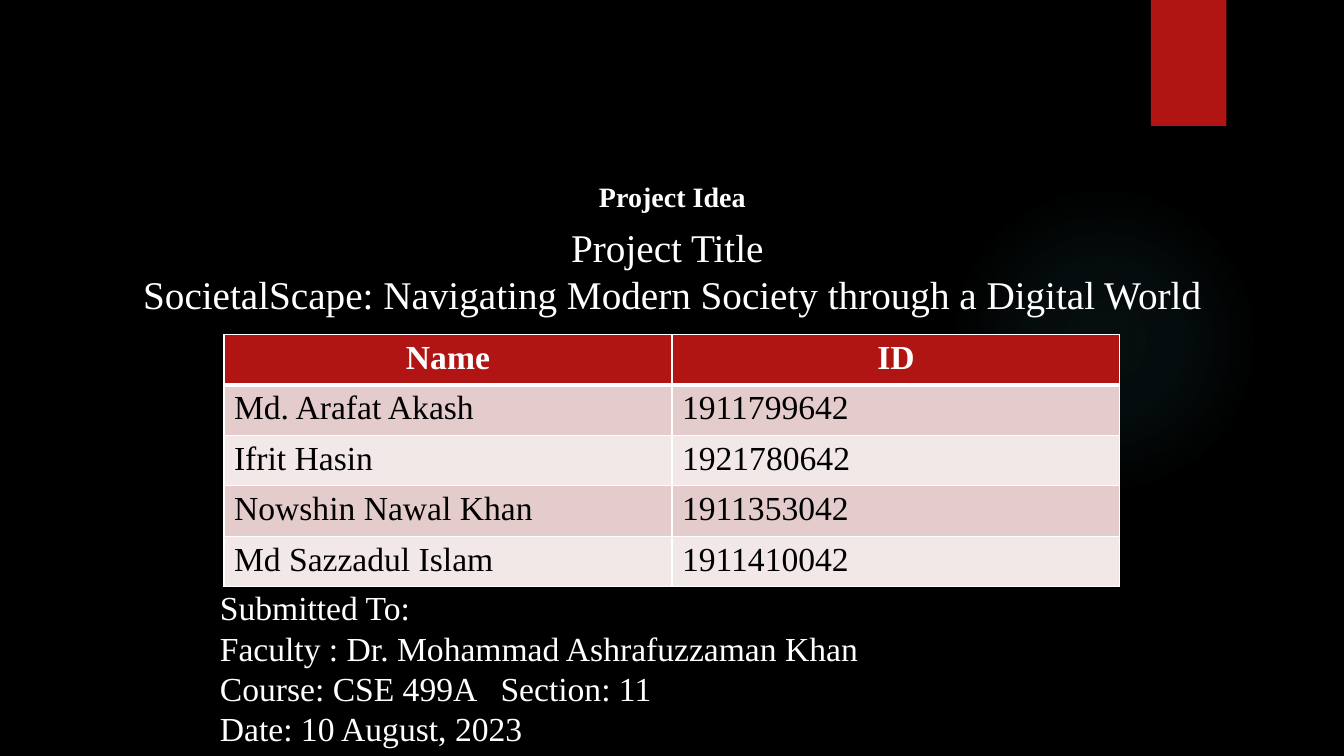
"""Build the project idea title slide with its team table."""
from lxml.etree import SubElement as Sub
from pptx import Presentation
from pptx.dml.color import RGBColor
from pptx.enum.shapes import MSO_SHAPE as Form
from pptx.enum.text import MSO_AUTO_SIZE as Auto, PP_ALIGN as Align
from pptx.oxml import parse_xml
from pptx.oxml.ns import nsdecls, qn
from pptx.util import Pt

RED, WHITE, BLACK = "B01513", "FFFFFF", "000000"
BANDS = ["E4CCCC", "F2E8E7"]
TEAM = [
    ("Name", "ID"),
    ("Md. Arafat Akash", "1911799642"),
    ("Ifrit Hasin", "1921780642"),
    ("Nowshin Nawal Khan", "1911353042"),
    ("Md Sazzadul Islam", "1911410042"),
]


def paint(fill, code):
    fill.solid()
    fill.fore_color.rgb = RGBColor.from_string(code)


class Page:
    font = "Times New Roman"

    def __init__(self, slide):
        self.slide = slide
        paint(slide.background.fill, BLACK)

    def shape(self, form, *box):
        item = self.slide.shapes.add_shape(form, *map(Pt, box))
        item.shadow.inherit = False
        item.line.fill.background()
        return item

    def block(self, code, *box):
        paint(self.shape(Form.RECTANGLE, *box).fill, code)

    def glow(self, code, stops, *box):
        item = self.shape(Form.OVAL, *box)
        item.fill.background()
        marks = "".join(
            f'<a:gs pos="{pos * 1000}"><a:srgbClr val="{code}">'
            f'<a:alpha val="{alpha * 1000}"/></a:srgbClr></a:gs>'
            for pos, alpha in stops)
        grad = parse_xml(
            f'<a:gradFill {nsdecls("a")}><a:gsLst>{marks}</a:gsLst>'
            '<a:path path="circle"><a:fillToRect l="50000" t="50000" '
            'r="50000" b="50000"/></a:path></a:gradFill>')
        props = item._element.spPr
        props.replace(props.find(qn("a:noFill")), grad)

    def run(self, para, text, size, code, bold=False, align=Align.LEFT):
        para.alignment = align
        run = para.add_run()
        run.text = text
        run.font.name = self.font
        run.font.size = Pt(size)
        run.font.bold = bold
        paint(run.font.fill, code)

    def text(self, lines, size, *box, bold=False, align=Align.LEFT, tab=None):
        frame = self.slide.shapes.add_textbox(*map(Pt, box)).text_frame
        frame.word_wrap = True
        frame.auto_size = Auto.SHAPE_TO_FIT_TEXT
        for num, line in enumerate(lines):
            para = frame.add_paragraph() if num else frame.paragraphs[0]
            self.run(para, line, size, WHITE, bold, align)
            if tab and "\t" in line:
                stops = Sub(para._p.get_or_add_pPr(), qn("a:tabLst"))
                Sub(stops, qn("a:tab"), pos=str(Pt(tab)), algn="l")

    def edge(self, cell, side, width):
        line = Sub(cell._tc.get_or_add_tcPr(), qn(f"a:ln{side}"),
                   w=str(Pt(width)))
        Sub(Sub(line, qn("a:solidFill")), qn("a:srgbClr"), val=WHITE)

    def table(self, rows, size, *box):
        grid = self.slide.shapes.add_table(
            len(rows), len(rows[0]), *map(Pt, box)).table
        for r, row in enumerate(rows):
            head = r == 0
            for c, word in enumerate(row):
                cell = grid.cell(r, c)
                widths = {"L": 1, "R": 1, "T": 3 if r == 1 else 1,
                          "B": 3 if head else 1}
                for side, width in widths.items():
                    self.edge(cell, side, width)
                paint(cell.fill, RED if head else BANDS[(r - 1) % 2])
                self.run(cell.text_frame.paragraphs[0], word, size,
                         WHITE if head else BLACK, head,
                         Align.CENTER if head else Align.LEFT)


def main():
    deck = Presentation()
    deck.slide_width, deck.slide_height = Pt(960), Pt(540)
    page = Page(deck.slides.add_slide(deck.slide_layouts[6]))
    page.glow("50B9C1", [(0, 7), (36, 6), (69, 0)], 677.5, 132, 222, 222)
    page.block(RED, 822, 0, 54, 90)
    page.text(["Project Title ",
               "SocietalScape: Navigating Modern Society through a Digital World"],
              28, 24.5, 156, 911.5, 75, align=Align.CENTER)
    page.text(["Submitted To:",
               "Faculty : Dr. Mohammad Ashrafuzzaman Khan",
               "Course: CSE 499A\tSection: 11",
               "Date: 10 August, 2023"],
              24, 150, 416, 534, 124, tab=200.5)
    page.text(["Project Idea"], 20, 337, 124.5, 286.5, 31.5,
              bold=True, align=Align.CENTER)
    page.table(TEAM, 24, 160, 239, 640, 180)
    deck.save("out.pptx")


if __name__ == "__main__":
    main()
